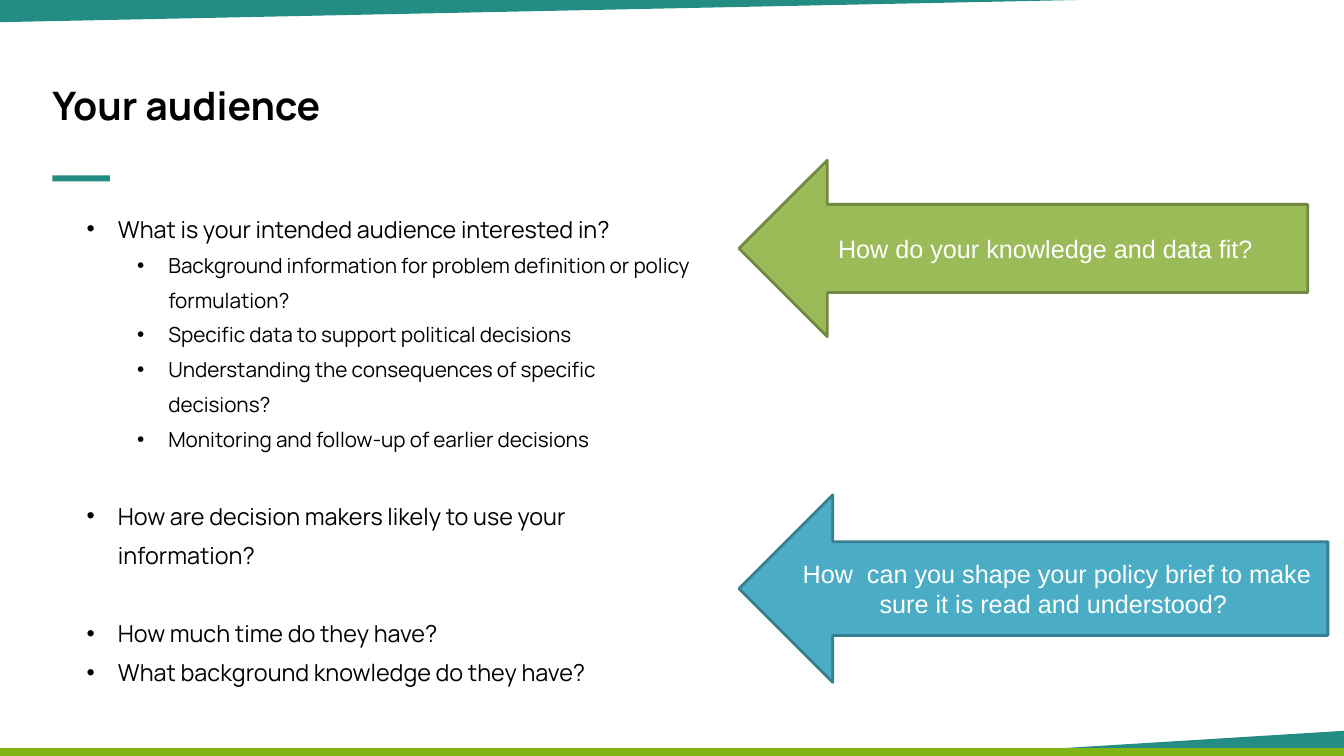
from dataclasses import dataclass

from lxml import etree
from pptx import Presentation
from pptx import util as u
from pptx.dml.color import RGBColor
from pptx.enum import shapes, text
from pptx.oxml.ns import qn


@dataclass(frozen=True)
class Theme:
    teal: str = "238D83"
    lime: str = "80B415"
    black: str = "000000"
    white: str = "FFFFFF"
    green: str = "9BBB59"
    green_edge: str = "738A42"
    blue: str = "4BACC6"
    blue_edge: str = "377F92"
    body_font: str = "Manrope"
    arrow_font: str = "Arial"
    title_size: float = 28
    arrow_size: float = 18
    level_sizes: tuple = (16.7, 14.8)
    level_indents: tuple = (0.81, 1.31)
    hanging: float = 0.31
    line_spacing: float = 1.4
    group_gap: float = 27.9


class SlideBuilder:
    def __init__(self, slide, theme):
        self.slide = slide
        self.theme = theme

    def paint(self, sp, fill, line=None):
        sp.shadow.inherit = False
        sp.fill.solid()
        sp.fill.fore_color.rgb = RGBColor.from_string(fill)
        if line:
            sp.line.color.rgb = RGBColor.from_string(line)
            sp.line.width = u.Pt(2)
        else:
            sp.line.fill.background()

    def style(self, p, font, size, color, bold=False):
        for r in p.runs:
            r.font.name = font
            r.font.size = u.Pt(size)
            r.font.bold = bold
            r.font.color.rgb = RGBColor.from_string(color)

    def shape(self, kind, box, fill, line=None):
        sp = self.slide.shapes.add_shape(kind, *map(u.Inches, box))
        self.paint(sp, fill, line)
        return sp

    def wedge(self, points, fill):
        start, *rest = [(u.Inches(x), u.Inches(y)) for x, y in points]
        builder = self.slide.shapes.build_freeform(*start)
        builder.add_line_segments(rest, close=True)
        self.paint(builder.convert_to_shape(), fill)

    def text_frame(self, box):
        tf = self.slide.shapes.add_textbox(*map(u.Inches, box)).text_frame
        tf.word_wrap = True
        tf.margin_left = tf.margin_right = u.Inches(0.13)
        tf.margin_top = tf.margin_bottom = u.Inches(0.07)
        return tf

    def title(self, box, words):
        p = self.text_frame(box).paragraphs[0]
        p.text = words
        self.style(p, self.theme.body_font, self.theme.title_size, self.theme.black, True)

    def bullets(self, box, items):
        t = self.theme
        tf = self.text_frame(box)
        for i, (level, starts_group, words) in enumerate(items):
            p = tf.add_paragraph() if i else tf.paragraphs[0]
            p.text = words
            p.level = level
            p.line_spacing = t.line_spacing
            p.space_before = u.Pt(t.group_gap if starts_group else 0)
            self.style(p, t.body_font, t.level_sizes[level], t.black)
            pPr = p._p.get_or_add_pPr()
            pPr.set("marL", str(u.Inches(t.level_indents[level])))
            pPr.set("indent", str(-u.Inches(t.hanging)))
            etree.SubElement(pPr, qn("a:buFont")).set("typeface", t.arrow_font)
            etree.SubElement(pPr, qn("a:buChar")).set("char", "•")

    def arrow(self, box, words, fill, edge):
        sp = self.shape(shapes.MSO_SHAPE.LEFT_ARROW, box, fill, edge)
        tf = sp.text_frame
        tf.word_wrap = True
        tf.vertical_anchor = text.MSO_ANCHOR.MIDDLE
        p = tf.paragraphs[0]
        p.text = words
        p.alignment = text.PP_ALIGN.CENTER
        self.style(p, self.theme.arrow_font, self.theme.arrow_size, self.theme.white)


QUESTIONS = [
    (0, False, "What is your intended audience interested in?"),
    (1, False, "Background information for problem definition or policy formulation?"),
    (1, False, "Specific data to support political decisions"),
    (1, False, "Understanding the consequences of specific decisions?"),
    (1, False, "Monitoring and follow-up of earlier decisions"),
    (0, True, "How are decision makers likely to use your information?"),
    (0, True, "How much time do they have?"),
    (0, False, "What background knowledge do they have?"),
]


def main():
    prs = Presentation()
    prs.slide_width, prs.slide_height = u.Inches(13.33), u.Inches(7.5)
    theme = Theme()
    s = SlideBuilder(prs.slides.add_slide(prs.slide_layouts[6]), theme)
    rect = shapes.MSO_SHAPE.RECTANGLE

    s.wedge([(9.93, 7.46), (13.33, 7.46), (13.33, 7.25)], theme.teal)
    s.shape(rect, (0, 7.43, 13.33, 0.09), theme.lime, theme.lime)
    s.wedge([(10.68, 0), (0, 0), (0, 0.22)], theme.teal)

    s.title((0.39, 0.74, 9.45, 0.61), "Your audience")
    s.shape(rect, (0.52, 1.74, 0.57, 0.06), theme.teal)
    s.bullets((0.23, 1.95, 6.75, 5.43), QUESTIONS)

    s.arrow((7.33, 1.59, 5.64, 1.75), "How do your knowledge and data fit?",
            theme.green, theme.green_edge)
    s.arrow((7.33, 4.91, 5.84, 1.86),
            "How  can you shape your policy brief to make sure it is read and understood? ",
            theme.blue, theme.blue_edge)

    prs.save("out.pptx")


if __name__ == "__main__":
    main()
